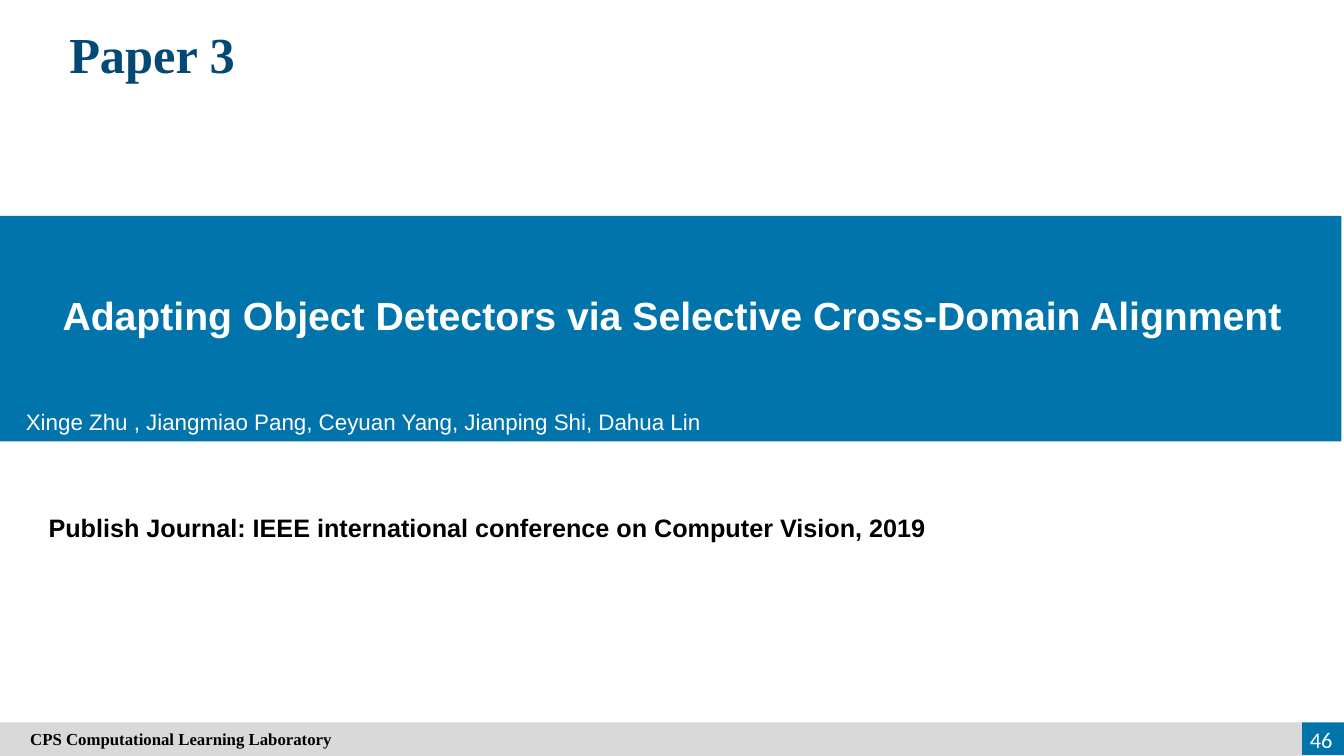
from pptx import Presentation
from pptx import util as u
from pptx.dml.color import RGBColor
from pptx.enum import shapes, text

THEME = {
    "blue": "0174AB", "navy": "044875", "grey": "D9D9D9",
    "white": "FFFFFF", "black": "000000",
    "heading": 36, "paper": 28, "venue": 18, "small": 16, "footer": 12,
    "sans": "Arial", "serif": "Times New Roman", "number": "Calibri",
}
COLUMNS, ROWS = 160, 90

deck = Presentation()
deck.slide_width, deck.slide_height = u.Inches(13.333), u.Inches(7.5)
slide = deck.slides.add_slide(deck.slide_layouts[6])


def place(column, row, columns, rows):
    return (int(deck.slide_width * column / COLUMNS),
            int(deck.slide_height * row / ROWS),
            int(deck.slide_width * columns / COLUMNS),
            int(deck.slide_height * rows / ROWS))


def write(holder, words, size, face, colour, bold=False,
          align="LEFT", anchor="TOP", spacing=1.0, inset=0.1):
    frame = holder.text_frame
    frame_format = {"word_wrap": True, "margin_left": u.Inches(inset),
                    "vertical_anchor": getattr(text.MSO_ANCHOR, anchor)}
    for key, value in frame_format.items():
        setattr(frame, key, value)
    line = frame.paragraphs[0]
    line.alignment = getattr(text.PP_ALIGN, align)
    line.line_spacing = spacing
    run = line.add_run()
    run.text = words
    font_format = {"size": u.Pt(THEME[size]), "name": THEME[face], "bold": bold}
    for key, value in font_format.items():
        setattr(run.font, key, value)
    run.font.color.rgb = RGBColor.from_string(THEME[colour])


bands = []
for area, colour in [
    ((-1, 25.7, 160.7, 26.85), "blue"),
    ((155, 86, 5, 3.9), "blue"),
    ((0, 86, 155, 4), "grey"),
]:
    band = slide.shapes.add_shape(shapes.MSO_SHAPE.RECTANGLE, *place(*area))
    band.shadow.inherit = False
    band.fill.solid()
    band.fill.fore_color.rgb = RGBColor.from_string(THEME[colour])
    band.line.fill.background()
    bands.append(band)

write(bands[-1], "CPS Computational Learning Laboratory", "footer", "serif",
      "black", bold=True, anchor="MIDDLE", inset=0.3)

for area, words, size, face, colour, layout in [
    ((-7.9, 31.8, 175.8, 8.65),
     "Adapting Object Detectors via Selective Cross-Domain Alignment",
     "paper", "sans", "white",
     {"bold": True, "align": "CENTER", "anchor": "MIDDLE", "spacing": 1.5}),
    ((1.9, 48, 164.4, 4.45),
     "Xinge Zhu , Jiangmiao Pang, Ceyuan Yang, Jianping Shi, Dahua Lin",
     "small", "sans", "white", {}),
    ((4.6, 2.15, 27, 8.5), "Paper 3", "heading", "serif", "navy",
     {"bold": True, "align": "CENTER"}),
    ((152.3, 85.6, 7.5, 4.8), "46", "small", "number", "white",
     {"align": "RIGHT", "anchor": "MIDDLE"}),
    ((4.6, 60.35, 135.8, 8.5),
     "Publish Journal: IEEE international conference on Computer Vision, 2019",
     "venue", "sans", "black", {"bold": True}),
]:
    write(slide.shapes.add_textbox(*place(*area)), words, size, face, colour,
          **layout)

deck.save("out.pptx")
